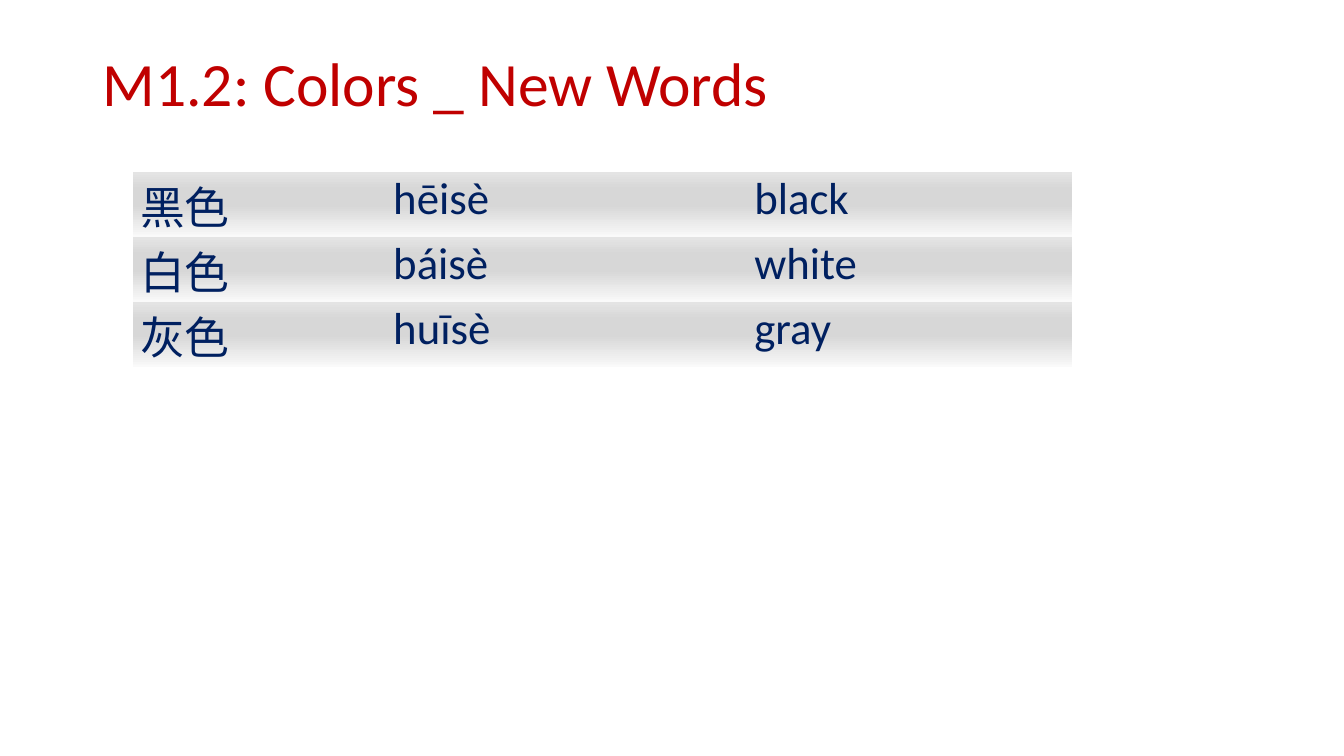
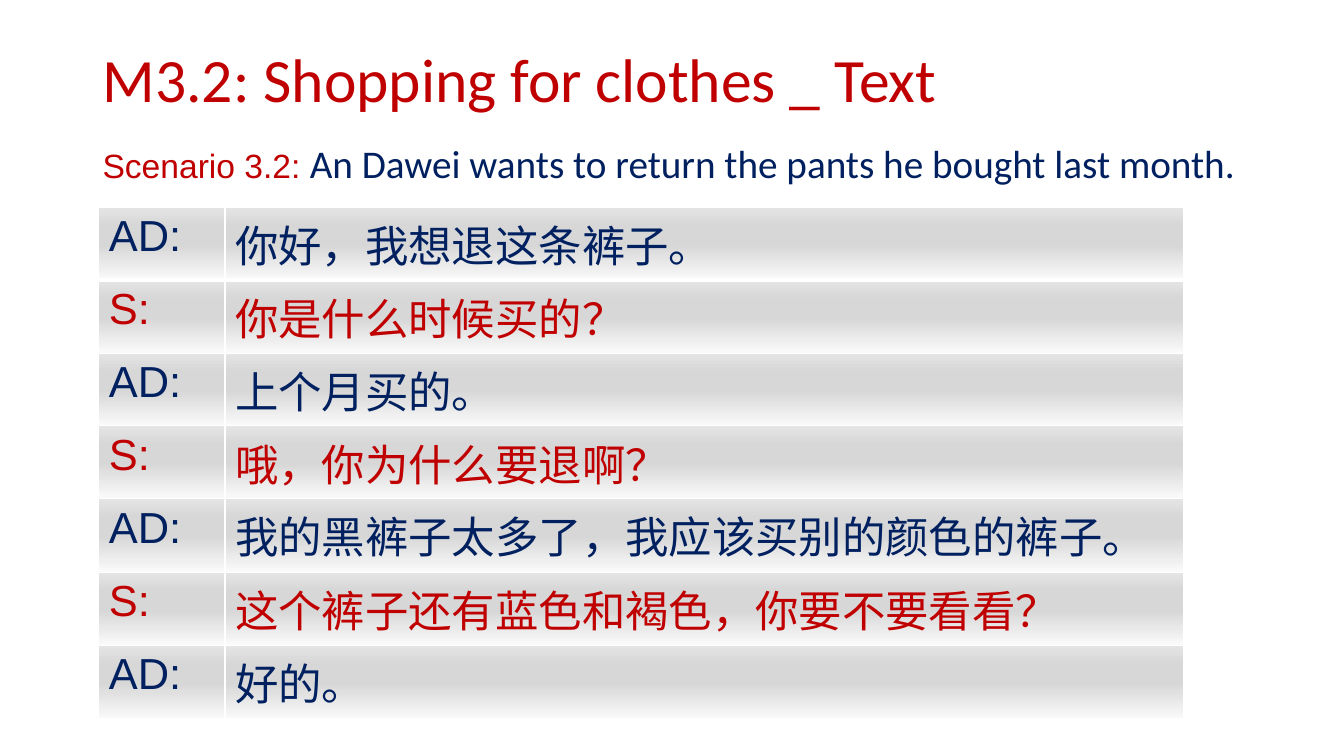
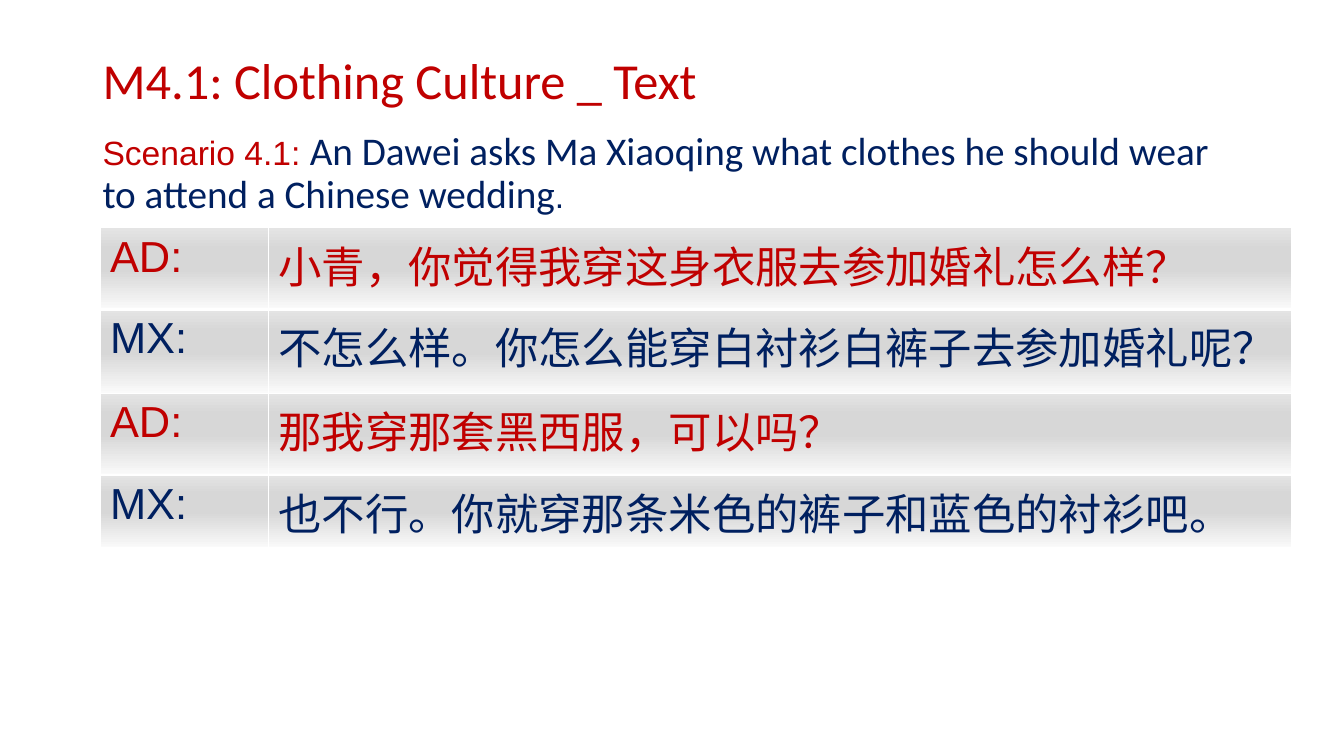
import lxml.etree
import pptx
import pptx.dml.color
import pptx.enum.text
import pptx.oxml.ns
import pptx.util

Cm = pptx.util.Cm
Pt = pptx.util.Pt
qn = pptx.oxml.ns.qn

RED, NAVY, WHITE = "C00000", "002060", "FFFFFF"
LATIN, SANS = "Calibri", "Arial"
SILVER_STOPS = [(0, "FAFAFA"), (49, "D7D7D7"), (74, "D7D7D7"), (100, "E4E4E4")]
PLAIN_TABLE = "{2D5ABB26-0587-4C30-8999-92F81FD0307C}"
LEFT, WIDTH, TITLE_TOP = 2.33, 29.21, 1.01
TITLE_ONLY, TITLE_AND_BODY = 5, 1


def rgb(code):
    """Turn a hex string into a colour."""
    return pptx.dml.color.RGBColor.from_string(code)


def style(span, size, font, color):
    """Format one run."""
    span.font.size = Pt(size)
    span.font.name = font
    span.font.color.rgb = rgb(color)


def place(shape, left, top, width, height):
    """Move a placeholder to a box given in centimetres."""
    shape.left, shape.top = Cm(left), Cm(top)
    shape.width, shape.height = Cm(width), Cm(height)
    shape.text_frame.auto_size = pptx.enum.text.MSO_AUTO_SIZE.NONE


def add_page(deck, layout, title, height, size=44):
    """Add a slide with its red title."""
    page = deck.slides.add_slide(deck.slide_layouts[layout])
    box = page.shapes.title
    place(box, LEFT, TITLE_TOP, WIDTH, height)
    frame = box.text_frame
    frame.text = title
    frame.vertical_anchor = pptx.enum.text.MSO_ANCHOR.MIDDLE
    para = frame.paragraphs[0]
    para.alignment = pptx.enum.text.PP_ALIGN.LEFT
    para.line_spacing = 0.9
    style(para.runs[0], size, LATIN, RED)
    return page


def add_scenario(page, top, height, spans):
    """Fill the body with the scenario sentence."""
    box = page.placeholders[1]
    place(box, LEFT, top, WIDTH, height)
    para = box.text_frame.paragraphs[0]
    para.line_spacing = 0.9
    para.space_before = Pt(0)
    properties = para._p.get_or_add_pPr()
    properties.set("marL", "0")
    properties.set("indent", "0")
    lxml.etree.SubElement(properties, qn("a:buNone"))
    for text, size, font, color in spans:
        span = para.add_run()
        span.text = text
        style(span, size, font, color)


def add_color(parent, code):
    """Append a hex colour to an XML element."""
    lxml.etree.SubElement(parent, qn("a:srgbClr")).set("val", code)


def add_borders(cell, top, bottom):
    """Draw white cell borders, 1 pt at the sides."""
    properties = cell._tc.get_or_add_tcPr()
    for side, points in (("L", 1), ("R", 1), ("T", top), ("B", bottom)):
        line = lxml.etree.SubElement(properties, qn("a:ln" + side))
        line.set("w", str(Pt(points)))
        add_color(lxml.etree.SubElement(line, qn("a:solidFill")), WHITE)


def fill_silver(cell):
    """Fill a cell with the upward silver gradient."""
    gradient = lxml.etree.SubElement(cell._tc.get_or_add_tcPr(), qn("a:gradFill"))
    stops = lxml.etree.SubElement(gradient, qn("a:gsLst"))
    for percent, code in SILVER_STOPS:
        stop = lxml.etree.SubElement(stops, qn("a:gs"))
        stop.set("pos", str(percent * 1000))
        add_color(stop, code)
    lxml.etree.SubElement(gradient, qn("a:lin")).set("ang", "16200000")


def add_grid(page, left, top, widths, heights):
    """Add an unstyled table and return it."""
    frame = page.shapes.add_table(len(heights), len(widths), Cm(left), Cm(top),
                                  Cm(sum(widths)), Cm(sum(heights)))
    table = frame.table
    table.first_row = table.horz_banding = False
    table._tbl.tblPr.find(qn("a:tableStyleId")).text = PLAIN_TABLE
    for column, width in zip(table.columns, widths):
        column.width = Cm(width)
    for row, height in zip(table.rows, heights):
        row.height = Cm(height)
    return table


def write_cell(cell, text, size, font, color):
    """Write one formatted cell on silver."""
    cell.text = text
    style(cell.text_frame.paragraphs[0].runs[0], size, font, color)
    fill_silver(cell)


def add_vocabulary(page, left, top, widths, height, words):
    """Add a borderless table of new words."""
    table = add_grid(page, left, top, widths, [height] * len(words))
    for row, entry in zip(table.rows, words):
        for cell, text in zip(row.cells, entry):
            cell.margin_left = cell.margin_right = Cm(0.18)
            cell.margin_top = cell.margin_bottom = 0
            write_cell(cell, text, 32, LATIN, NAVY)


def add_dialogue(page, left, top, widths, heights, colors, lines):
    """Add a table of speakers and their lines, one colour per speaker."""
    table = add_grid(page, left, top, widths, heights)
    for index, (speaker, speech) in enumerate(lines):
        cells = table.rows[index].cells
        for cell, text, font in zip(cells, (speaker, speech), (SANS, LATIN)):
            add_borders(cell, 3 if index == 1 else 1, 3 if index == 0 else 1)
            write_cell(cell, text, 31, font, colors[speaker])


def build_colors(deck):
    """Build the slide of colour words."""
    page = add_page(deck, TITLE_ONLY, "M1.2: Colors _ New Words", 2.34)
    add_vocabulary(page, 3.35, 4.34, [6.38, 9.1, 8.18], 1.6, [
        ("黑色", "hēisè", "black"),
        ("白色", "báisè", "white"),
        ("灰色", "huīsè", "gray"),
    ])


def build_shopping(deck):
    """Build the slide of the shop dialogue."""
    page = add_page(deck, TITLE_AND_BODY, "M3.2: Shopping for clothes _ Text", 2.16)
    add_scenario(page, 3.51, 13.67, [
        ("Scenario 3.2: ", 24, SANS, RED),
        ("An Dawei wants to return the pants he bought last month.", 28, LATIN, NAVY),
    ])
    add_dialogue(page, 2.49, 5.23, [3.18, 24.16], [1.7] * 4 + [1.85] * 3,
                 {"AD:": NAVY, "S:": RED}, [
        ("AD:", "你好，我想退这条裤子。"),
        ("S:", "你是什么时候买的？"),
        ("AD:", "上个月买的。"),
        ("S:", "哦，你为什么要退啊？"),
        ("AD:", "我的黑裤子太多了，我应该买别的颜色的裤子。"),
        ("S:", "这个裤子还有蓝色和褐色，你要不要看看？"),
        ("AD:", "好的。"),
    ])


def build_culture(deck):
    """Build the slide of the wedding dialogue."""
    page = add_page(deck, TITLE_AND_BODY, "M4.1: Clothing Culture _ Text", 2.18, 36)
    add_scenario(page, 3.2, 13.94, [
        ("Scenario 4.1: ", 24, SANS, RED),
        ("An Dawei asks Ma Xiaoqing what clothes he should wear "
         "to attend a Chinese wedding", 28, LATIN, NAVY),
        (".", 24, SANS, NAVY),
    ])
    add_dialogue(page, 2.52, 5.74, [4.24, 25.78], [2.06, 2.11, 2.06, 1.73],
                 {"AD:": RED, "MX:": NAVY}, [
        ("AD:", "小青，你觉得我穿这身衣服去参加婚礼怎么样？"),
        ("MX:", "不怎么样。你怎么能穿白衬衫白裤子去参加婚礼呢？"),
        ("AD:", "那我穿那套黑西服，可以吗？"),
        ("MX:", "也不行。你就穿那条米色的裤子和蓝色的衬衫吧。"),
    ])


def main():
    """Build and save the deck."""
    deck = pptx.Presentation()
    deck.slide_width, deck.slide_height = Cm(33.87), Cm(19.05)
    build_colors(deck)
    build_shopping(deck)
    build_culture(deck)
    deck.save("out.pptx")


if __name__ == "__main__":
    main()
